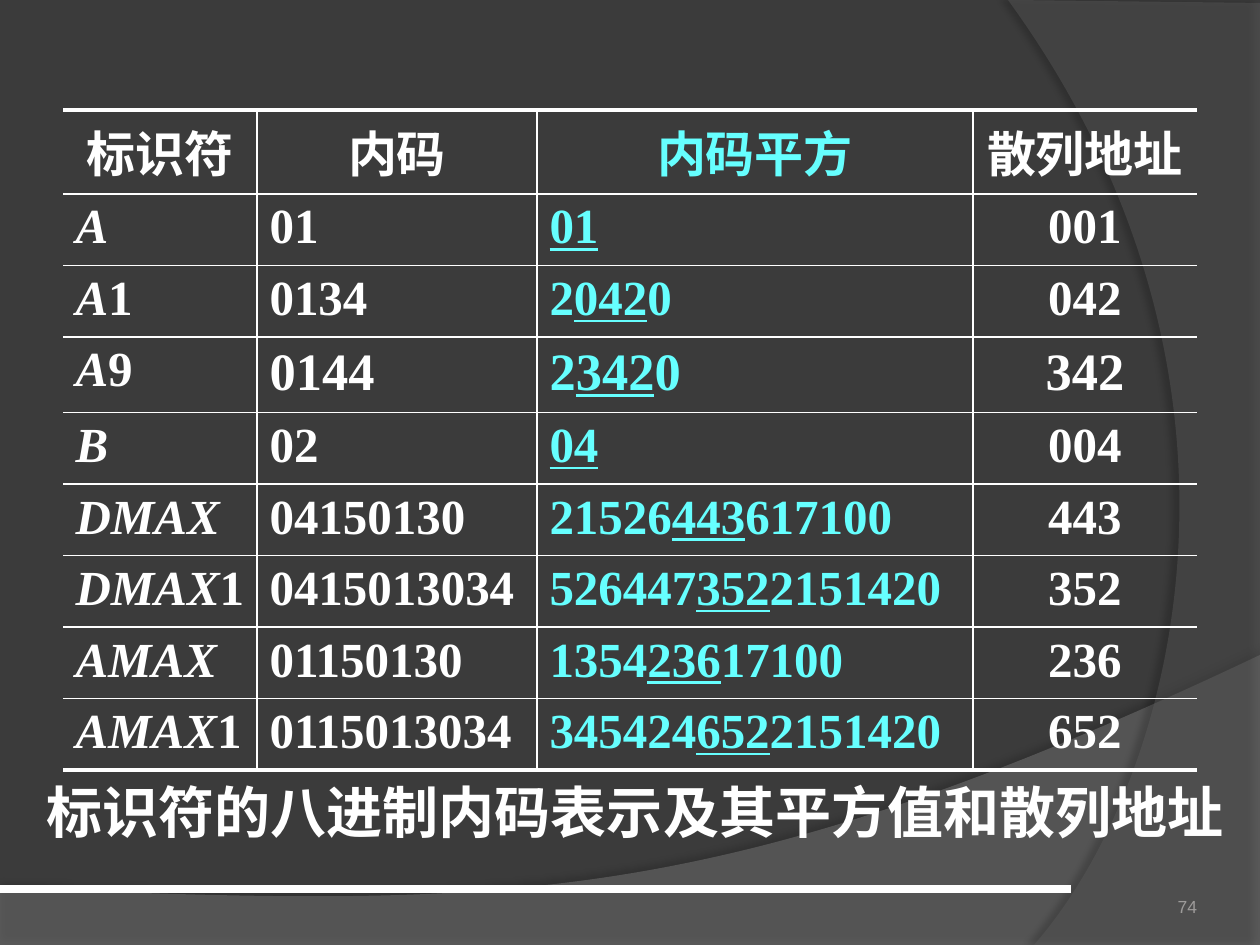
import pptx
import pptx.dml.color
import pptx.enum.shapes
import pptx.enum.text
import pptx.oxml
import pptx.oxml.ns
import pptx.util
from dataclasses import dataclass

PX = 914400 // 126  # EMU in one px
SLIDE_W, SLIDE_H = 1260, 945
ALIGN = pptx.enum.text.PP_ALIGN


@dataclass(frozen=True)
class Theme:
    back: str = "3B3B3B"
    wave: str = "7F7F7F"
    arc: str = "5E5E5E"
    ink: str = "FFFFFF"
    accent: str = "66FFFF"
    muted: str = "9D9B9A"
    serif: str = "Times New Roman"
    sans: str = "Arial"
    cjk: str = "Noto Sans CJK SC"
    body: int = 28
    large: int = 30
    caption: int = 32
    number: int = 10
    thin: float = 1
    thick: float = 2.25
    bar: float = 4.5


T = Theme()
HEADERS = ["标识符", "内码", "内码平方", "散列地址"]
ROWS = [  # identifier, code, square, address, size
    ("A", "01", "01", "001", T.body),
    ("A1", "0134", "20420", "042", T.body),
    ("A9", "0144", "23420", "342", T.large),
    ("B", "02", "04", "004", T.body),
    ("DMAX", "04150130", "21526443617100", "443", T.body),
    ("DMAX1", "0415013034", "5264473522151420", "352", T.body),
    ("AMAX", "01150130", "135423617100", "236", T.body),
    ("AMAX1", "0115013034", "3454246522151420", "652", T.body),
]
HEADER_H = 84
ROW_H = {T.body: 67, T.large: 71}


def rgb(value):
    return pptx.dml.color.RGBColor.from_string(value)


def xml(text):
    return pptx.oxml.parse_xml(text.replace(">", f" {pptx.oxml.ns.nsdecls('a')}>", 1))


def find(element, tag):
    return element.find(".//" + pptx.oxml.ns.qn(tag))


def add_run(p, text, size=T.body, font=T.serif, color=T.ink, bold=True, italic=False, underline=False):
    r = p.add_run()
    r.text = text
    f = r.font
    f.size, f.name, f.bold = pptx.util.Pt(size), font, bold
    f.italic, f.underline = italic, underline
    f.color.rgb = rgb(color)
    find(r._r, "a:latin").addnext(xml(f'<a:ea typeface="{T.cjk}"></a:ea>'))


def add_sheet(s, x, y, corners, controls, color, opacity, shade, distance, angle):
    """Translucent outline, closed by a curve to its first corner, with a soft shadow."""
    points = [((x + px) * PX, (y + py) * PX) for px, py in corners]
    builder = s.shapes.build_freeform(*points[0], scale=1.0)
    builder.add_line_segments(points[1:], close=True)
    sp = builder.convert_to_shape()
    curve = "".join(f'<a:pt x="{(x + px) * PX - sp.left}" y="{(y + py) * PX - sp.top}"/>'
                    for px, py in [*controls, corners[0]])
    find(sp._element, "a:close").addprevious(xml(f"<a:cubicBezTo>{curve}</a:cubicBezTo>"))
    sp.fill.solid()
    sp.fill.fore_color.rgb = rgb(color)
    sp.line.fill.background()
    sp.shadow.inherit = False
    find(sp._element.spPr, "a:srgbClr").append(xml(f'<a:alpha val="{opacity * 1000}"></a:alpha>'))
    find(sp._element.spPr, "a:effectLst").append(xml(
        f'<a:outerShdw blurRad="{pptx.util.Pt(4)}" dist="{pptx.util.Pt(distance)}"'
        f' dir="{angle * 60000}" algn="ctr" rotWithShape="0">'
        f'<a:srgbClr val="000000"><a:alpha val="{shade * 1000}"/></a:srgbClr></a:outerShdw>'))


def add_backdrop(s, x, y, w, h):
    s.background.fill.solid()
    s.background.fill.fore_color.rgb = rgb(T.back)
    # Wave along the bottom
    add_sheet(s, x, y, [(0, 888), (0, h), (w, h), (w, 655)], [(704, 919), (493, 906)],
              T.wave, 45, 35, 3.5, 270)
    # Arc along the right side
    add_sheet(s, x, y, [(1008, 0), (w, 3), (w, h), (1034, h)], [(1178, 780), (1283, 378)],
              T.arc, 40, 45, 4, 180)
    # White bar
    bar = s.shapes.add_connector(pptx.enum.shapes.MSO_CONNECTOR.STRAIGHT,
                                 x * PX, (y + 889) * PX, (x + 1071) * PX, (y + 889) * PX)
    bar.line.color.rgb = rgb(T.ink)
    bar.line.width = pptx.util.Pt(T.bar)
    bar._element.spPr.append(xml("<a:effectLst></a:effectLst>"))


def set_borders(cell, **widths):
    tcPr = cell._tc.get_or_add_tcPr()
    for side in "LRTB":
        width = widths[side]
        fill = f'<a:solidFill><a:srgbClr val="{T.ink}"/></a:solidFill>' if width else "<a:noFill/>"
        tcPr.append(xml(f'<a:ln{side} w="{pptx.util.Pt(width)}">{fill}</a:ln{side}>'))


def row_runs(name, code, square, address, size):
    """Runs of the four cells; the hashed digits of the square are underlined."""
    letters = name.rstrip("0123456789")
    before, middle, after = square.partition(address) if address in square else ("", square, "")
    accent = dict(color=T.accent, size=size)
    return [
        [(letters, dict(italic=True)), (name[len(letters):], {})],
        [(code, dict(size=size))],
        [(before, accent), (middle, dict(accent, underline=True)), (after, accent)],
        [(address, dict(size=size))],
    ]


def add_hash_table(s, x, y, widths):
    header = [[(h, dict(color=T.accent if c == 2 else T.ink))] for c, h in enumerate(HEADERS)]
    grid = [header] + [row_runs(*row) for row in ROWS]
    heights = [HEADER_H] + [ROW_H[row[-1]] for row in ROWS]
    n_rows, n_cols = len(grid), len(widths)
    table = s.shapes.add_table(n_rows, n_cols, x * PX, y * PX, sum(widths) * PX, sum(heights) * PX).table
    table.first_row = table.horz_banding = False
    for column, width in zip(table.columns, widths):
        column.width = width * PX
    for row, height in zip(table.rows, heights):
        row.height = height * PX
    for i, row in enumerate(grid):
        for j, runs in enumerate(row):
            cell = table.cell(i, j)
            p = cell.text_frame.paragraphs[0]
            p.alignment = ALIGN.CENTER if i == 0 or j == n_cols - 1 else ALIGN.LEFT
            for text, style in runs:
                if text:
                    add_run(p, text, **style)
            set_borders(cell, L=T.thin if j else 0, R=T.thin if j < n_cols - 1 else 0,
                        T=T.thin if i else T.thick, B=T.thin if i < n_rows - 1 else T.thick)
            cell.fill.background()


def add_caption(s, x, y, w, h):
    tf = s.shapes.add_textbox(x * PX, y * PX, w * PX, h * PX).text_frame
    tf.word_wrap = False
    tf.auto_size = pptx.enum.text.MSO_AUTO_SIZE.SHAPE_TO_FIT_TEXT
    p = tf.paragraphs[0]
    p.alignment = ALIGN.CENTER
    add_run(p, "标识符的八进制内码表示及其平方值和散列地址", size=T.caption, font=T.cjk)


def add_page_number(s, x, y, w, h):
    tf = s.shapes.add_textbox(x * PX, y * PX, w * PX, h * PX).text_frame
    tf.word_wrap = True
    tf.margin_left = tf.margin_right = tf.margin_top = tf.margin_bottom = 0
    tf.vertical_anchor = pptx.enum.text.MSO_ANCHOR.BOTTOM
    p = tf.paragraphs[0]
    p.alignment = ALIGN.RIGHT
    add_run(p, "74", size=T.number, font=T.sans, color=T.muted, bold=False)


def main():
    prs = pptx.Presentation()
    prs.slide_width, prs.slide_height = SLIDE_W * PX, SLIDE_H * PX
    s = prs.slides.add_slide(prs.slide_layouts[6])
    add_backdrop(s, 0, 0, SLIDE_W, SLIDE_H)
    add_page_number(s, 903, 854, 294, 63)
    add_hash_table(s, 63, 110, [194, 280, 436, 224])
    add_caption(s, 27, 771, 1217, 81)
    prs.save("out.pptx")


if __name__ == "__main__":
    main()
